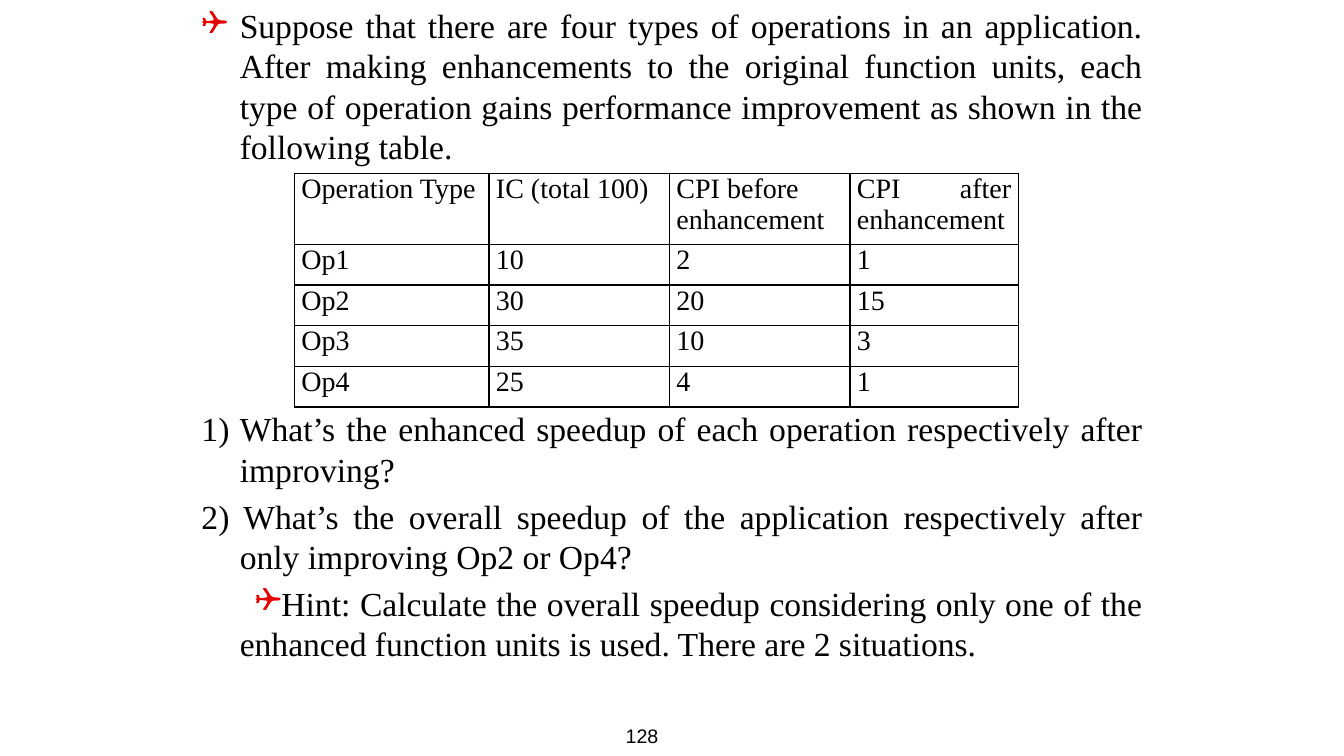
from lxml import etree
from pptx import Presentation
from pptx import util as u
from pptx.dml.color import RGBColor
from pptx.enum import text
from pptx.oxml import ns

COLORS = {"ink": "000000", "bullet": "E40000"}
SERIF, SANS, SYMBOLS = "Times New Roman", "Arial", "Wingdings"
WIDTH, HEIGHT = u.Inches(13.33), u.Inches(7.5)
JUSTIFY, LEFT, RIGHT = text.PP_ALIGN.JUSTIFY, text.PP_ALIGN.LEFT, text.PP_ALIGN.RIGHT

HANG = 0.38
PARAGRAPH_GAP = 4.8
TABLE_GAP = 172.8

INTRO = ("Suppose that there are four types of operations in an application. "
         "After making enhancements to the original function units, each type of "
         "operation gains performance improvement as shown in the following table.")
SPEEDUP_EACH = "1) What’s the enhanced speedup of each operation respectively after improving?"
SPEEDUP_OVERALL = ("2) What’s the overall speedup of the application respectively after "
                   "only improving Op2 or Op4?")
HINT = ("Hint: Calculate the overall speedup considering only one of the enhanced "
        "function units is used. There are 2 situations.")

OPERATIONS = [
    ["Operation Type", "IC (total 100)", "CPI before enhancement", "CPI after enhancement"],
    ["Op1", "10", "2", "1"],
    ["Op2", "30", "20", "15"],
    ["Op3", "35", "10", "3"],
    ["Op4", "25", "4", "1"],
]
COLUMN_SHARES = [14.48, 13.43, 13.43, 12.53]
ROW_SHARES = [9.4] + [5.38] * 4


def across(percent):
    return u.Emu(int(WIDTH * percent / 100))


def down(percent):
    return u.Emu(int(HEIGHT * percent / 100))


def add_element(parent, tag, **attributes):
    return etree.SubElement(parent, ns.qn(tag), attributes)


def write(paragraph, words, size=24, font=SERIF, align=JUSTIFY, indent=None,
          bullet=None, before=0):
    properties = paragraph._p.get_or_add_pPr()
    paragraph.alignment = align
    paragraph.space_before = u.Pt(before)
    if indent is not None:
        properties.set("marL", str(u.Inches(HANG)))
        properties.set("indent", str(u.Inches(indent)))
    if bullet:
        color = add_element(properties, "a:buClr")
        add_element(color, "a:srgbClr", val=COLORS["bullet"])
        add_element(properties, "a:buFont", typeface=SYMBOLS)
        add_element(properties, "a:buChar", char=bullet)
    run = paragraph.add_run()
    run.text = words
    run.font.size = u.Pt(size)
    run.font.name = font
    run.font.color.rgb = RGBColor.from_string(COLORS["ink"])


def add_frame(slide, left, top, width, height):
    box = slide.shapes.add_textbox(across(left), down(top), across(width), down(height))
    box.text_frame.word_wrap = True
    return box.text_frame


def add_borders(cell):
    properties = cell._tc.get_or_add_tcPr()
    for side in ("a:lnL", "a:lnR", "a:lnT", "a:lnB"):
        line = add_element(properties, side, w=str(u.Pt(1)))
        fill = add_element(line, "a:solidFill")
        add_element(fill, "a:srgbClr", val=COLORS["ink"])


def add_operations_table(slide, left, top):
    table = slide.shapes.add_table(
        len(ROW_SHARES), len(COLUMN_SHARES), across(left), down(top),
        across(sum(COLUMN_SHARES)), down(sum(ROW_SHARES))).table
    table.first_row = table.horz_banding = False
    for column, share in zip(table.columns, COLUMN_SHARES):
        column.width = across(share)
    for row, share, values in zip(table.rows, ROW_SHARES, OPERATIONS):
        row.height = down(share)
        for cell, value in zip(row.cells, values):
            cell.margin_left = cell.margin_right = u.Inches(0.07)
            cell.margin_top = cell.margin_bottom = 0
            add_borders(cell)
            cell.fill.background()
            align = LEFT if value.startswith("CPI before") else JUSTIFY
            write(cell.text_frame.paragraphs[0], value, size=20, align=align)


def main():
    deck = Presentation()
    deck.slide_width, deck.slide_height = WIDTH, HEIGHT
    slide = deck.slides.add_slide(deck.slide_layouts[6])

    # Page number
    page = add_frame(slide, 28.88, 95.1, 20.85, 4.9)
    write(page.paragraphs[0], "128", size=14, font=SANS, align=RIGHT)

    # Problem statement, then questions below the space for the table
    problem = add_frame(slide, 14.25, 0, 71.5, 90.67)
    write(problem.paragraphs[0], INTRO, indent=-HANG, bullet="❑")
    write(problem.add_paragraph(), SPEEDUP_EACH, indent=-HANG, before=TABLE_GAP)
    write(problem.add_paragraph(), SPEEDUP_OVERALL, indent=-HANG, before=PARAGRAPH_GAP)
    write(problem.add_paragraph(), HINT, indent=0.15, bullet="❑", before=PARAGRAPH_GAP)

    # Operation costs
    add_operations_table(slide, 21.9, 22.93)

    deck.save("out.pptx")


if __name__ == "__main__":
    main()
